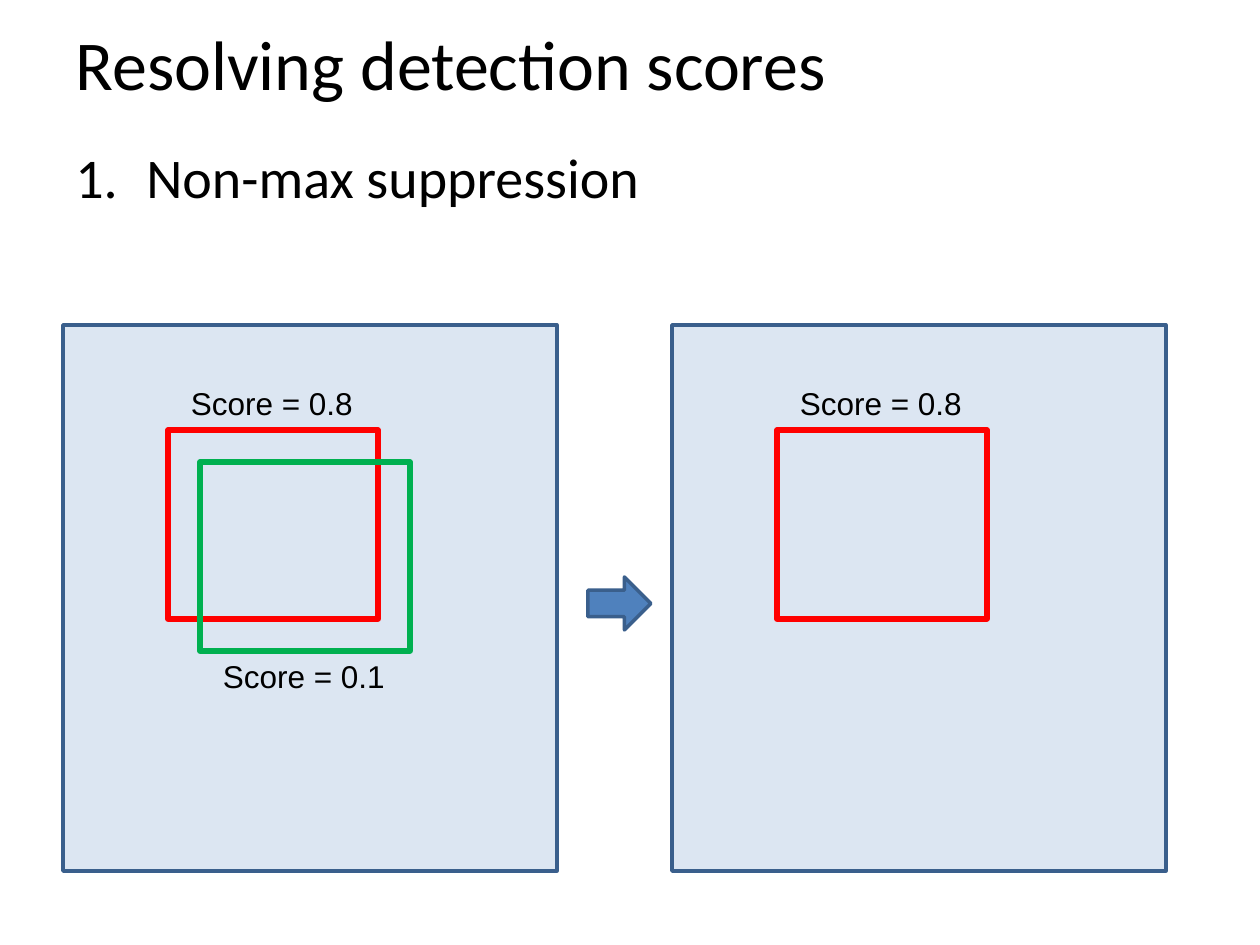
from dataclasses import dataclass

from lxml import etree
from pptx import Presentation
from pptx.dml.color import RGBColor
from pptx.enum.shapes import MSO_SHAPE
from pptx.enum.text import MSO_ANCHOR, MSO_AUTO_SIZE, PP_ALIGN
from pptx.oxml.ns import qn
from pptx.util import Emu, Pt

RECTANGLE = MSO_SHAPE.RECTANGLE
RIGHT_ARROW = MSO_SHAPE.RIGHT_ARROW
LEFT = PP_ALIGN.LEFT
TOP, MIDDLE = MSO_ANCHOR.TOP, MSO_ANCHOR.MIDDLE
FIT_SHAPE, NO_FIT = MSO_AUTO_SIZE.SHAPE_TO_FIT_TEXT, MSO_AUTO_SIZE.NONE


@dataclass(frozen=True)
class Theme:
    ink: str = "000000"
    panel: str = "DCE6F2"
    edge: str = "3A5F8C"
    arrow: str = "4F81BD"
    best: str = "FF0000"
    weaker: str = "00B050"
    heading_font: str = "Calibri"
    label_font: str = "Arial"
    title_size: int = 40
    step_size: int = 32
    label_size: int = 18
    edge_width: int = 2
    detection_width: int = 3


THEME = Theme()

TITLE = "Resolving detection scores"
STEP = "Non-max suppression"
BEST = {"score": "Score = 0.8", "color": THEME.best, "shift": 0, "above": True}
WEAKER = {"score": "Score = 0.1", "color": THEME.weaker, "shift": 32, "above": False}
PANELS = [[BEST, WEAKER], [BEST]]

PX = 7257.14
PAGE_SIZE = (1260, 945)
TITLE_AREA = (63, 0, 1134, 126)
STEP_AREA = (63, 136, 1134, 126)
STEP_INDENT = 71
PANEL_LEFT, PANEL_TOP, PANEL_STEP = 63, 325, 609
PANEL_SIZE = (494, 546)
DETECTION_INSET = 105
DETECTION_SIZE = (210, 189)
LABEL_SIZE = (189, 50)
LABEL_RISE = 52
ARROW_AREA = (588, 577, 63, 53)


def emu(px):
    return Emu(round(px * PX))


def rgb(color):
    return RGBColor.from_string(color)


def write(box, text, size, font, wrap=True, anchor=TOP, fit=NO_FIT):
    frame = box.text_frame
    settings = {"word_wrap": wrap, "vertical_anchor": anchor, "auto_size": fit}
    for name, value in settings.items():
        setattr(frame, name, value)
    para = frame.paragraphs[0]
    para.alignment = LEFT
    span = para.add_run()
    span.text = text
    for name, value in {"size": Pt(size), "name": font}.items():
        setattr(span.font, name, value)
    span.font.color.rgb = rgb(THEME.ink)
    return para


def add_box(page, kind, area, line, width, fill=None):
    shape = page.shapes.add_shape(kind, *map(emu, area))
    shape.shadow.inherit = False
    if fill:
        shape.fill.solid()
        shape.fill.fore_color.rgb = rgb(fill)
    else:
        shape.fill.background()
    shape.line.color.rgb = rgb(line)
    shape.line.width = Pt(width)


def add_title(page):
    title = page.shapes.title
    for name, px in zip(("left", "top", "width", "height"), TITLE_AREA):
        setattr(title, name, emu(px))
    write(title, TITLE, THEME.title_size, THEME.heading_font, anchor=MIDDLE)


def add_step(page):
    box = page.shapes.add_textbox(*map(emu, STEP_AREA))
    para = write(box, STEP, THEME.step_size, THEME.heading_font)
    properties = para._p.get_or_add_pPr()
    properties.set("marL", str(emu(STEP_INDENT)))
    properties.set("indent", str(-emu(STEP_INDENT)))
    etree.SubElement(properties, qn("a:buFont"), typeface="+mj-lt")
    etree.SubElement(properties, qn("a:buAutoNum"), type="arabicPeriod")


def add_detection(page, panel_left, detection):
    width, height = DETECTION_SIZE
    left = panel_left + DETECTION_INSET + detection["shift"]
    top = PANEL_TOP + DETECTION_INSET + detection["shift"]
    add_box(page, RECTANGLE, (left, top, width, height),
            detection["color"], THEME.detection_width)
    label_left = left + (width - LABEL_SIZE[0]) / 2
    label_top = top - LABEL_RISE if detection["above"] else top + height
    label = page.shapes.add_textbox(*map(emu, (label_left, label_top, *LABEL_SIZE)))
    write(label, detection["score"], THEME.label_size, THEME.label_font,
          wrap=False, fit=FIT_SHAPE)


def main():
    deck = Presentation()
    deck.slide_width, deck.slide_height = map(emu, PAGE_SIZE)
    page = deck.slides.add_slide(deck.slide_layouts[5])
    add_title(page)
    add_step(page)
    for index, detections in enumerate(PANELS):
        left = PANEL_LEFT + index * PANEL_STEP
        add_box(page, RECTANGLE, (left, PANEL_TOP, *PANEL_SIZE),
                THEME.edge, THEME.edge_width, THEME.panel)
        for detection in detections:
            add_detection(page, left, detection)
    add_box(page, RIGHT_ARROW, ARROW_AREA, THEME.edge, THEME.edge_width, THEME.arrow)
    deck.save("out.pptx")


if __name__ == "__main__":
    main()
